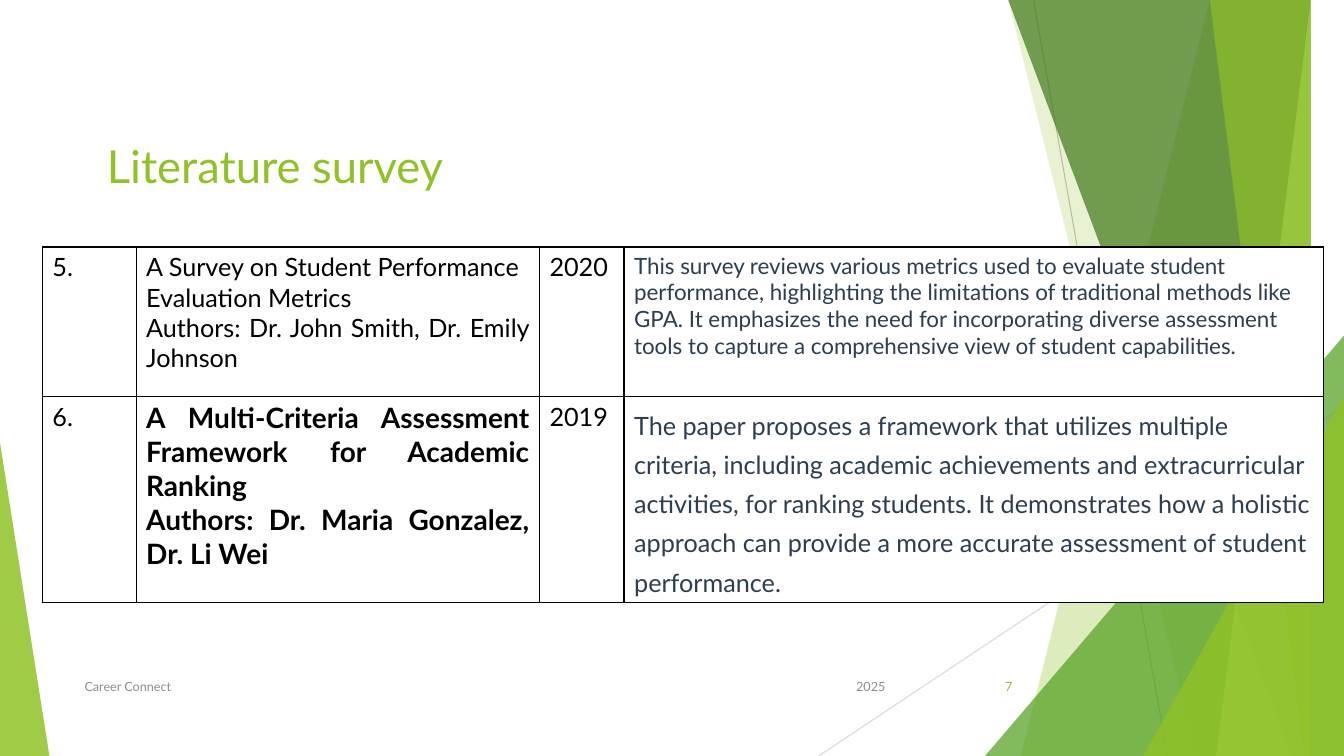
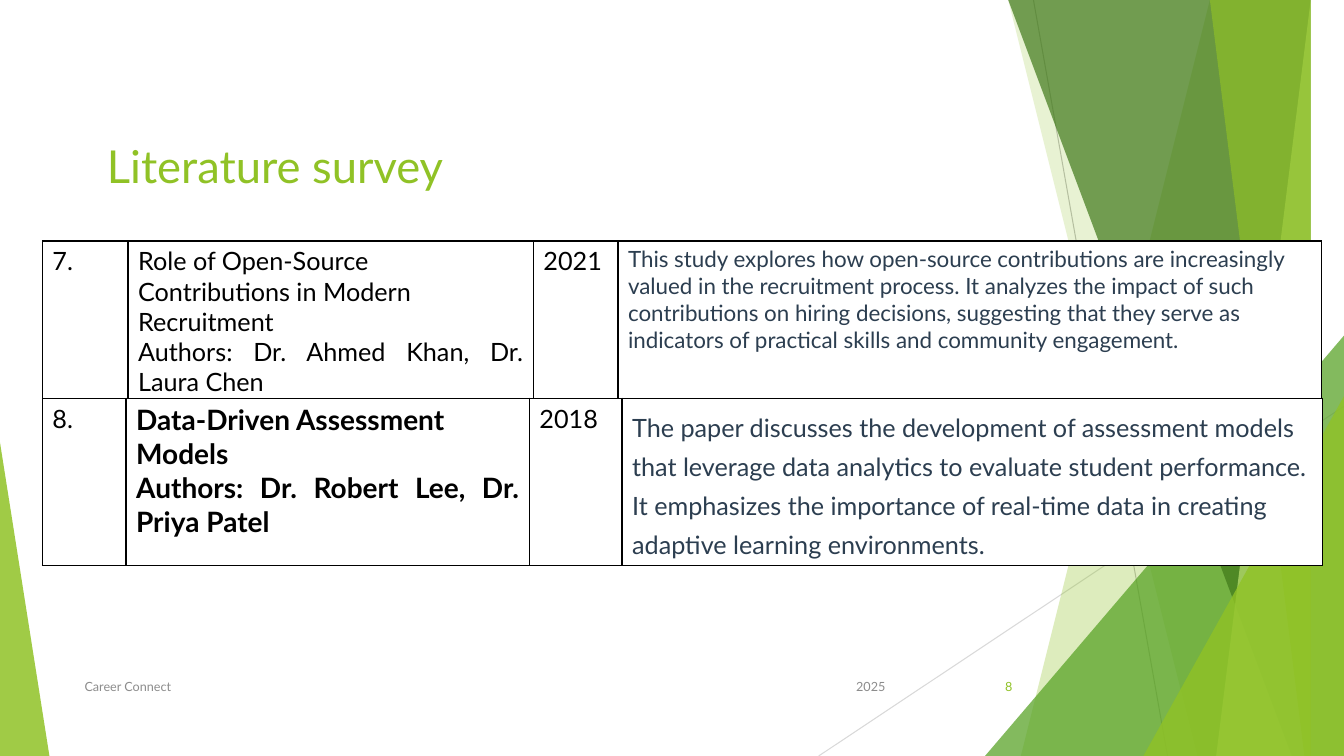
from pptx import Presentation
from pptx.dml.color import RGBColor
from pptx.enum.shapes import MSO_CONNECTOR, MSO_SHAPE
from pptx.enum.text import MSO_ANCHOR, MSO_AUTO_SIZE, PP_ALIGN
from pptx.oxml.ns import qn
from pptx.util import Inches, Pt
from lxml.etree import SubElement

WIDTH, HEIGHT = 13.33, 7.5
FONT = "Lato"
TITLE_ONLY = 5

WHITE = RGBColor(0xFF, 0xFF, 0xFF)
BLACK = RGBColor(0x00, 0x00, 0x00)
NAVY = RGBColor(0x2C, 0x3E, 0x50)
GRAY = RGBColor(0x8C, 0x8C, 0x8C)
LINE_GRAY = RGBColor(0xBF, 0xBF, 0xBF)
PALE_GRAY = RGBColor(0xD9, 0xD9, 0xD9)
LIME = RGBColor(0x90, 0xC2, 0x26)
GREEN = RGBColor(0x54, 0xA0, 0x21)
DARK_GREEN = RGBColor(0x3F, 0x78, 0x19)
LIGHT_LIME = RGBColor(0xC0, 0xE4, 0x74)

LEFT, RIGHT, JUSTIFY = PP_ALIGN.LEFT, PP_ALIGN.RIGHT, PP_ALIGN.JUSTIFY

# Each slide: page number and its tables as (top, height, column widths, cells).
# A cell holds (paragraphs, size, bold, colour, line spacing);
# a paragraph is (text, alignment).
SURVEYS = [
    (7, [
        (2.45, 1.54, (0.93, 4, 0.84, 6.94), [
            ([("5.", JUSTIFY)], 18, False, BLACK, 1),
            ([("A Survey on Student Performance Evaluation Metrics", LEFT),
              ("Authors: Dr. John Smith, Dr. Emily Johnson", JUSTIFY)], 18, False, BLACK, 1),
            ([("2020", JUSTIFY)], 18, False, BLACK, 1),
            ([("This survey reviews various metrics used to evaluate student performance, "
               "highlighting the limitations of traditional methods like GPA. It emphasizes "
               "the need for incorporating diverse assessment tools to capture a "
               "comprehensive view of student capabilities.", LEFT)], 16, False, NAVY, 1),
        ]),
        (3.93, 2.01, (0.93, 4, 0.84, 6.94), [
            ([("6.", JUSTIFY)], 18, False, BLACK, 1),
            ([("A Multi-Criteria Assessment Framework for Academic Ranking", JUSTIFY),
              ("Authors: Dr. Maria Gonzalez, Dr. Li Wei", JUSTIFY)], 20, True, BLACK, 1),
            ([("2019", JUSTIFY)], 18, False, BLACK, 1),
            ([("The paper proposes a framework that utilizes multiple criteria, including "
               "academic achievements and extracurricular activities, for ranking students. "
               "It demonstrates how a holistic approach can provide a more accurate "
               "assessment of student performance.", LEFT)], 18, False, NAVY, 1.3),
        ]),
    ]),
    (8, [
        (2.39, 1.6, (0.85, 4.02, 0.84, 6.98), [
            ([("7.", JUSTIFY)], 18, False, BLACK, 1),
            ([("Role of Open-Source Contributions in Modern Recruitment", LEFT),
              ("Authors: Dr. Ahmed Khan, Dr. Laura Chen", JUSTIFY)], 18, False, BLACK, 1),
            ([("2021", JUSTIFY)], 18, False, BLACK, 1),
            ([("This study explores how open-source contributions are increasingly valued in "
               "the recruitment process. It analyzes the impact of such contributions on "
               "hiring decisions, suggesting that they serve as indicators of practical "
               "skills and community engagement.", LEFT)], 16, False, NAVY, 1),
        ]),
        (3.95, 1.62, (0.83, 4, 0.92, 6.95), [
            ([("8.", JUSTIFY)], 18, False, BLACK, 1),
            ([("Data-Driven Assessment Models", LEFT),
              ("Authors: Dr. Robert Lee, Dr. Priya Patel", JUSTIFY)], 20, True, BLACK, 1),
            ([("2018", JUSTIFY)], 18, False, BLACK, 1),
            ([("The paper discusses the development of assessment models that leverage data "
               "analytics to evaluate student performance. It emphasizes the importance of "
               "real-time data in creating adaptive learning environments.", LEFT)],
             18, False, NAVY, 1.3),
        ]),
    ]),
]


def write(paragraph, text, size, color, alignment=LEFT, bold=False):
    paragraph.text = text
    paragraph.alignment = alignment
    font = paragraph.runs[0].font
    font.name, font.size, font.bold = FONT, Pt(size), bold
    font.color.rgb = color


def paint(shape, color, opacity):
    """Fill a shape with a partly transparent colour, without outline or shadow."""
    shape.shadow.inherit = False
    shape.line.fill.background()
    shape.fill.solid()
    shape.fill.fore_color.rgb = color
    color_element = shape.element.spPr.find(qn("a:solidFill"))[0]
    SubElement(color_element, qn("a:alpha"), val=str(opacity * 1000))


def add_line(shapes, start, end, color):
    line = shapes.add_connector(MSO_CONNECTOR.STRAIGHT, *map(Inches, start + end))
    line.line.color.rgb = color
    line.line.width = Pt(0.75)
    SubElement(line.element.spPr, qn("a:effectLst"))


def add_band(shapes, top_x, bottom_x, color, opacity):
    """Fill from a slanted left edge to the right side of the slide."""
    builder = shapes.build_freeform(top_x, 0, scale=Inches(1))
    builder.add_line_segments([(WIDTH, 0), (WIDTH, HEIGHT), (bottom_x, HEIGHT)], close=True)
    paint(builder.convert_to_shape(), color, opacity)


def add_triangle(shapes, left, top, width, apex, color, opacity):
    """Stand a triangle on the bottom edge of the slide."""
    triangle = shapes.add_shape(MSO_SHAPE.ISOSCELES_TRIANGLE, Inches(left), Inches(top),
                                Inches(width), Inches(HEIGHT - top))
    triangle.adjustments[0] = apex
    paint(triangle, color, opacity)


def add_facets(slide):
    facets = slide.shapes.add_group_shape()
    shapes = facets.shapes
    add_line(shapes, (10.25, 0), (11.58, HEIGHT), LINE_GRAY)
    add_line(shapes, (WIDTH, 4.03), (8.12, HEIGHT), PALE_GRAY)
    add_band(shapes, 12.28, 10.04, LIME, 30)
    add_band(shapes, 10.5, 11.83, LIME, 20)
    add_triangle(shapes, 9.77, 3.33, 3.56, 1, GREEN, 72)
    add_band(shapes, 10.21, 12.91, DARK_GREEN, 70)
    add_band(shapes, 13.03, 11.92, LIGHT_LIME, 70)
    add_band(shapes, 11.96, 13.18, LIME, 65)
    add_triangle(shapes, 11.34, 3.93, 1.99, 1, LIME, 80)
    add_triangle(shapes, 0, 4.39, 0.49, 0, LIME, 85)
    return facets


def prepare_layout(layout, slide):
    """Move the decoration into the layout and place its title."""
    layout.shapes.element.insert(2, add_facets(slide).element)
    title = layout.placeholders[0]
    title.left, title.top = Inches(0.96), Inches(1.32)
    title.width, title.height = Inches(4.47), Inches(0.6)
    title.text_frame.vertical_anchor = MSO_ANCHOR.TOP
    title.text_frame.auto_size = MSO_AUTO_SIZE.NONE


def add_footer(slide, left, width, text, color, alignment):
    box = slide.shapes.add_textbox(Inches(left), Inches(6.61), Inches(width), Inches(0.4))
    frame = box.text_frame
    frame.word_wrap = True
    frame.vertical_anchor = MSO_ANCHOR.MIDDLE
    write(frame.paragraphs[0], text, 9, color, alignment)


def outline_cell(cell):
    properties = cell._tc.get_or_add_tcPr()
    for side in ("lnL", "lnR", "lnT", "lnB"):
        border = SubElement(properties, qn(f"a:{side}"), w=str(Pt(1)))
        fill = SubElement(border, qn("a:solidFill"))
        SubElement(fill, qn("a:srgbClr"), val=str(BLACK))


def fill_cell(cell, paragraphs, size, bold, color, spacing):
    outline_cell(cell)
    cell.fill.solid()
    cell.fill.fore_color.rgb = WHITE
    frame = cell.text_frame
    frame.text = "\n".join(text for text, _ in paragraphs)
    for paragraph, (text, alignment) in zip(frame.paragraphs, paragraphs):
        write(paragraph, text, size, color, alignment, bold)
        paragraph.line_spacing = spacing


def add_survey_table(slide, top, height, widths, cells):
    table = slide.shapes.add_table(1, len(widths), Inches(0.42), Inches(top),
                                   Inches(sum(widths)), Inches(height)).table
    table.first_row = table.horz_banding = False
    for column, width in zip(table.columns, widths):
        column.width = Inches(width)
    for index, content in enumerate(cells):
        fill_cell(table.cell(0, index), *content)


def fill_slide(slide, number, tables):
    title = slide.shapes.title.text_frame
    write(title.paragraphs[0], "Literature survey", 32.4, LIME)
    add_footer(slide, 7.88, 1, "2025", GRAY, RIGHT)
    add_footer(slide, 0.74, 6.89, "Career Connect", GRAY, LEFT)
    add_footer(slide, 9.39, 0.75, str(number), LIME, RIGHT)
    for table in tables:
        add_survey_table(slide, *table)


def main():
    presentation = Presentation()
    presentation.slide_width, presentation.slide_height = Inches(WIDTH), Inches(HEIGHT)
    layout = presentation.slide_layouts[TITLE_ONLY]
    slides = [presentation.slides.add_slide(layout) for _ in SURVEYS]
    prepare_layout(layout, slides[0])
    for slide, (number, tables) in zip(slides, SURVEYS):
        fill_slide(slide, number, tables)
    presentation.save("out.pptx")


if __name__ == "__main__":
    main()
